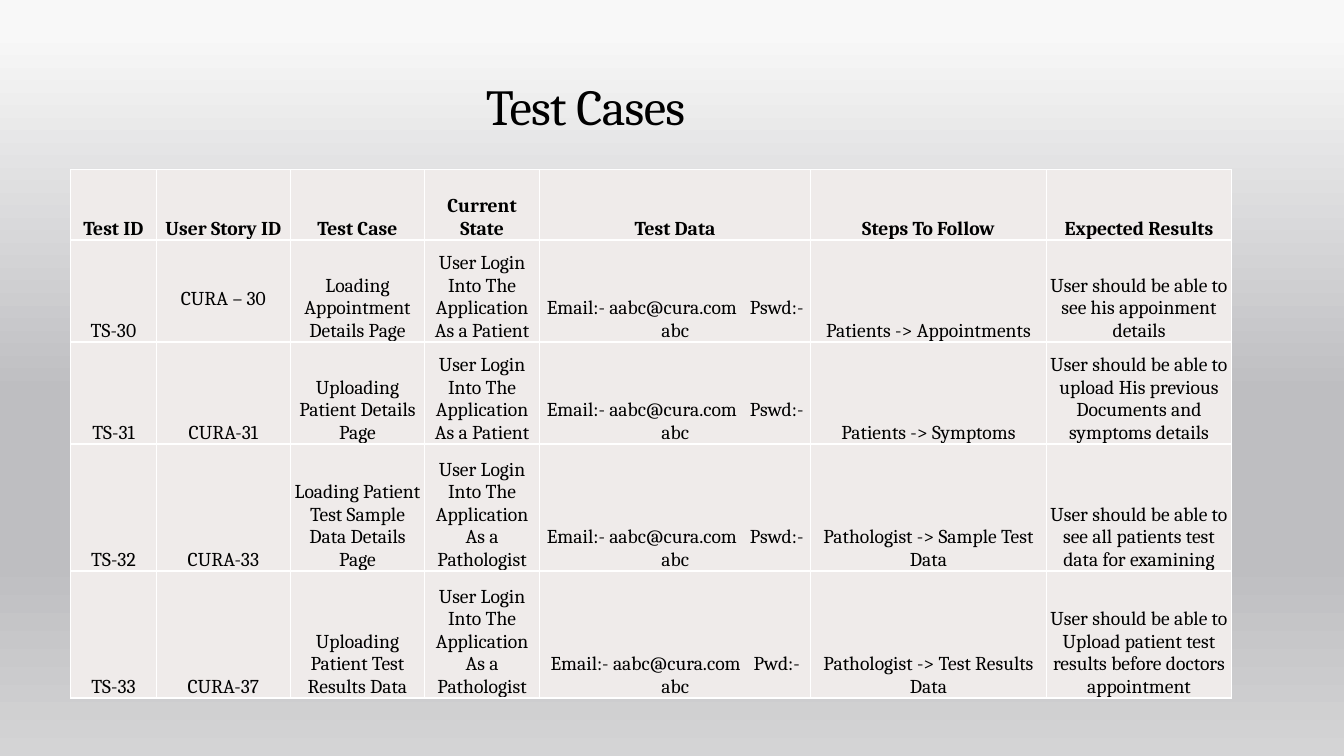
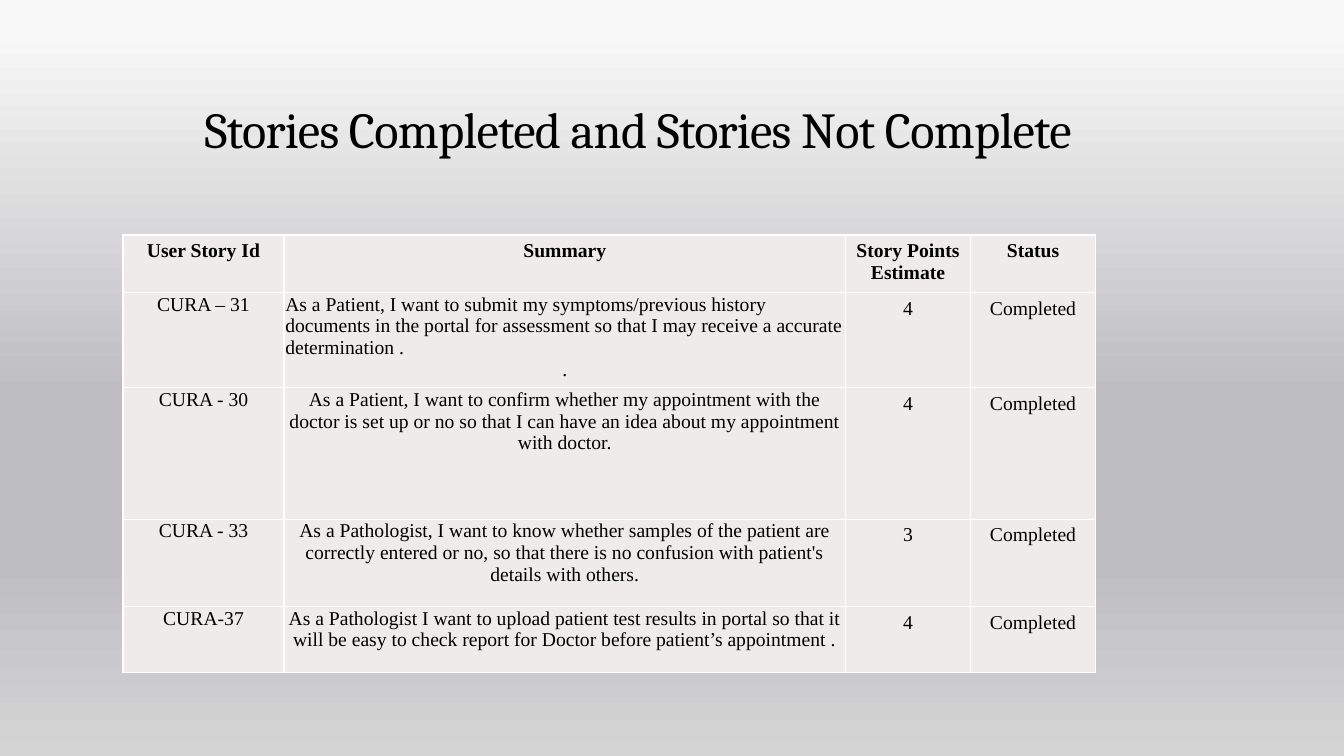
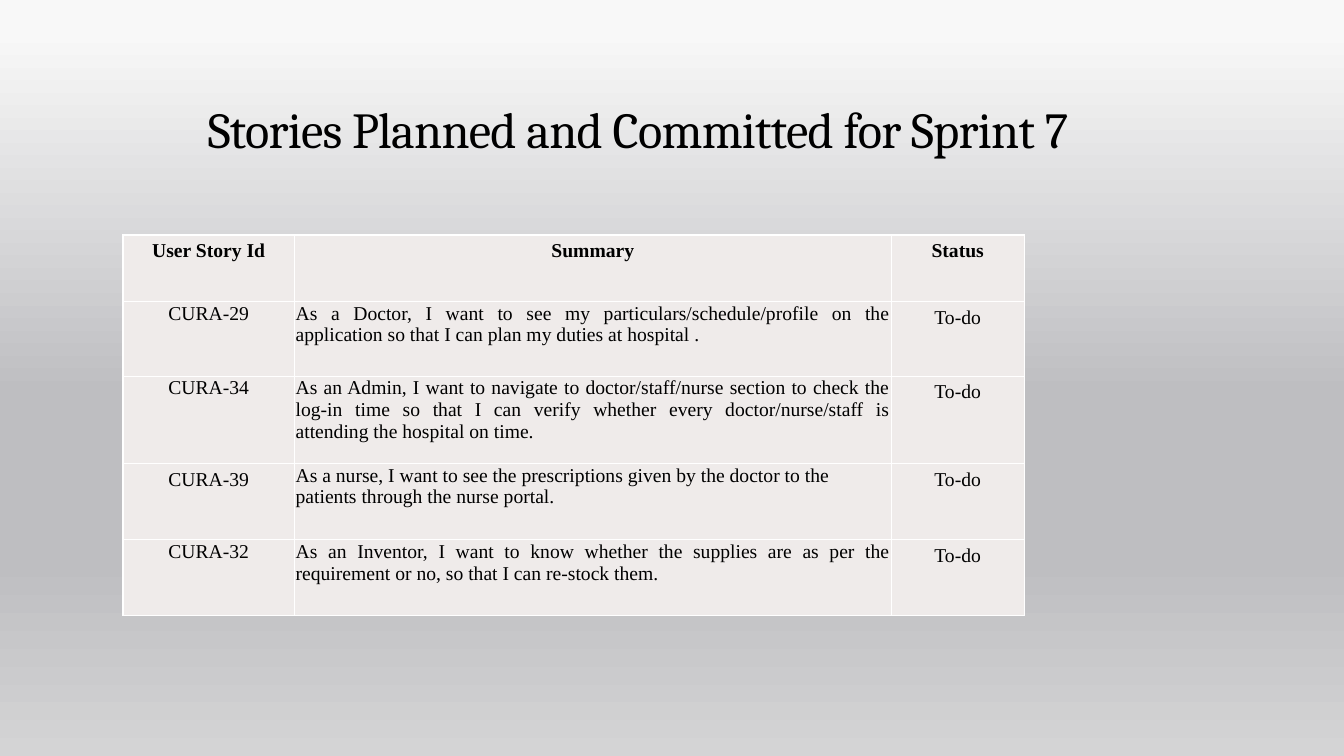
from lxml.etree import SubElement
from pptx import Presentation
from pptx.dml.color import RGBColor
from pptx.enum.text import MSO_ANCHOR as Anchor, PP_ALIGN as Align
from pptx.oxml.ns import qn
from pptx.util import Cm, Pt

# Shared look
BLACK = RGBColor(0x00, 0x00, 0x00)
WHITE = RGBColor(0xFF, 0xFF, 0xFF)
CELL_FILL = RGBColor(0xEF, 0xEB, 0xEA)
BACKGROUND_STOPS = [
    (4, RGBColor(0xF8, 0xF8, 0xF8)),
    (52, RGBColor(0xBE, 0xBE, 0xC1)),
    (74, RGBColor(0xBE, 0xBE, 0xC1)),
    (100, RGBColor(0xD4, 0xD4, 0xD5)),
]
SERIF, TIMES = "Cambria", "Times New Roman"
TITLE_SIZE, TABLE_SIZE = Pt(36), Pt(14)
TIGHT = (0.03, 0.03, 0.03, 0)  # left, top, right, bottom in cm
PADDED = (0.25, 0.13, 0.25, 0.13)
GAP = "|"  # marks a wide gap inside a cell
GAP_SPACING = "600"

# Content; "cells" holds exceptions by (row, column), lengths are in cm
PATIENT = "User Login Into The Application As a Patient"
PATHOLOGIST = "User Login Into The Application As a Pathologist"
LOGIN = "Email:- aabc@cura.com|Pswd:- abc"
STORY_TITLE_BOX = (2.26, 1.73, 27.64, 2.41)
STORY_TABLE_AT = (3.1, 5.92)

SLIDES = [
    {
        "title": "Test Cases",
        "title_box": (0.66, 1.12, 28.19, 2.44),
        "table_at": (1.78, 4.27),
        "columns": [2.16, 3.38, 3.38, 2.9, 6.83, 5.94, 4.67],
        "heights": [1.78, 2.57, 2.57, 3.2, 3.2],
        "font": SERIF,
        "anchor": Anchor.BOTTOM,
        "padded_columns": [],
        "padded_header": False,
        "cells": {(1, 1): {"anchor": Anchor.TOP, "margins": (0.03, 1.2, 0.03, 0)}},
        "rows": [
            ["Test ID", "User Story ID", "Test Case", "Current State",
             "Test Data", "Steps To Follow", "Expected Results"],
            ["TS-30", "CURA – 30", "Loading Appointment Details Page", PATIENT,
             LOGIN, "Patients -> Appointments",
             "User should be able to see his appoinment details"],
            ["TS-31", "CURA-31", "Uploading Patient Details Page", PATIENT,
             LOGIN, "Patients -> Symptoms",
             "User should be able to upload His previous Documents and symptoms details"],
            ["TS-32", "CURA-33", "Loading Patient Test Sample Data Details Page",
             PATHOLOGIST, LOGIN, "Pathologist -> Sample Test Data",
             "User should be able to see all patients test data for examining"],
            ["TS-33", "CURA-37", "Uploading Patient Test Results Data",
             PATHOLOGIST, "Email:- aabc@cura.com|Pwd:- abc",
             "Pathologist -> Test Results Data",
             "User should be able to Upload patient test results before doctors appointment"],
        ],
    },
    {
        "title": "Stories Completed and Stories Not Complete",
        "title_box": STORY_TITLE_BOX,
        "table_at": STORY_TABLE_AT,
        "columns": [4.06, 14.15, 3.15, 3.15],
        "heights": [1.45, 2.2, 3.31, 2.2, 1.66],
        "font": TIMES,
        "anchor": Anchor.TOP,
        "padded_columns": [2, 3],
        "padded_header": True,
        "cells": {(1, 1): {"aligns": [Align.LEFT, Align.CENTER]}},
        "rows": [
            ["User Story Id", "Summary", "Story Points\nEstimate", "Status"],
            ["CURA – 31",
             "As a Patient, I want to submit my symptoms/previous history documents in "
             "the portal for assessment so that I may receive a accurate determination .\n.",
             "4", "Completed"],
            ["CURA - 30",
             "As a Patient, I want to confirm whether my appointment with the doctor is "
             "set up or no so that I can have an idea about my appointment with doctor.",
             "4", "Completed"],
            ["CURA - 33",
             "As a Pathologist, I want to know whether samples of the patient are correctly "
             "entered or no, so that there is no confusion with patient's details with others.",
             "3", "Completed"],
            ["CURA-37",
             "As a Pathologist I want to upload patient test results in portal so that it "
             "will be easy to check report for Doctor before patient’s appointment .",
             "4", "Completed"],
        ],
    },
    {
        "title": "Stories Planned and Committed for Sprint 7",
        "title_box": STORY_TITLE_BOX,
        "table_at": STORY_TABLE_AT,
        "columns": [4.32, 15.04, 3.35],
        "heights": [1.68, 1.88, 2.2, 1.92, 1.9],
        "font": TIMES,
        "anchor": Anchor.TOP,
        "padded_columns": [2],
        "padded_header": True,
        "cells": {
            (1, 1): {"aligns": [Align.JUSTIFY]},
            (2, 1): {"aligns": [Align.JUSTIFY]},
            (3, 0): {"margins": PADDED},
            (3, 1): {"aligns": [Align.LEFT]},
            (4, 1): {"aligns": [Align.JUSTIFY]},
        },
        "rows": [
            ["User Story Id", "Summary", "Status"],
            ["CURA-29",
             "As a Doctor, I want to see my particulars/schedule/profile on the "
             "application so that I can plan my duties at hospital .", "To-do"],
            ["CURA-34",
             "As an Admin, I want to navigate to doctor/staff/nurse section to check the "
             "log-in time so that I can verify whether every doctor/nurse/staff is "
             "attending the hospital on time.", "To-do"],
            ["CURA-39",
             "As a nurse, I want to see the prescriptions given by the doctor to the "
             "patients through the nurse portal.", "To-do"],
            ["CURA-32",
             "As an Inventor, I want to know whether the supplies are as per the "
             "requirement or no, so that I can re-stock them.", "To-do"],
        ],
    },
]


def set_background(master):
    """Give every slide the same vertical grey gradient."""
    fill = master.background.fill
    fill.gradient()
    fill.gradient_angle = 270
    stops = master.element.find(".//" + qn("p:bgPr")).find(".//" + qn("a:gsLst"))
    for stop in list(stops):
        stops.remove(stop)
    for percent, color in BACKGROUND_STOPS:
        stop = SubElement(stops, qn("a:gs"), pos=str(percent * 1000))
        SubElement(stop, qn("a:srgbClr"), val=str(color))


def set_font(paragraph, name, size, bold=False):
    font = paragraph.font
    font.name, font.size, font.bold = name, size, bold
    font.color.rgb = BLACK


def add_title(slide, text, box):
    frame = slide.shapes.add_textbox(*map(Cm, box)).text_frame
    frame.word_wrap = True
    frame.vertical_anchor = Anchor.BOTTOM
    paragraph = frame.paragraphs[0]
    paragraph.alignment = Align.CENTER
    paragraph.line_spacing = 0.9
    run = paragraph.add_run()
    run.text = text
    run.font._element.set("spc", "-50")
    set_font(paragraph, SERIF, TITLE_SIZE)


def set_borders(cell):
    properties = cell._tc.get_or_add_tcPr()
    for side in ("L", "R", "T", "B"):
        line = SubElement(properties, qn("a:ln" + side), w=str(Pt(1)))
        fill = SubElement(line, qn("a:solidFill"))
        SubElement(fill, qn("a:srgbClr"), val=str(WHITE))


def add_runs(paragraph, text):
    """Write the text, widening one space wherever a gap is marked."""
    for index, part in enumerate(text.split(GAP)):
        if index:
            space = paragraph.add_run()
            space.text = " "
            space.font._element.set("spc", GAP_SPACING)
        paragraph.add_run().text = part


def fill_cell(cell, text, font, bold, anchor, margins, aligns=(Align.CENTER,)):
    set_borders(cell)
    cell.fill.solid()
    cell.fill.fore_color.rgb = CELL_FILL
    cell.vertical_anchor = anchor
    (cell.margin_left, cell.margin_top,
     cell.margin_right, cell.margin_bottom) = map(Cm, margins)
    frame = cell.text_frame
    for index, line in enumerate(text.split("\n")):
        paragraph = frame.add_paragraph() if index else frame.paragraphs[0]
        paragraph.alignment = aligns[min(index, len(aligns) - 1)]
        add_runs(paragraph, line)
        set_font(paragraph, font, TABLE_SIZE, bold)


def add_table(slide, content):
    columns, heights = content["columns"], content["heights"]
    left, top = content["table_at"]
    table = slide.shapes.add_table(
        len(heights), len(columns),
        Cm(left), Cm(top), Cm(sum(columns)), Cm(sum(heights))).table
    table.first_row = table.horz_banding = False
    for column, width in zip(table.columns, columns):
        column.width = Cm(width)
    for row, height in zip(table.rows, heights):
        row.height = Cm(height)
    for r, texts in enumerate(content["rows"]):
        for c, text in enumerate(texts):
            header = r == 0
            padded = content["padded_header"] if header else c in content["padded_columns"]
            style = {"anchor": content["anchor"], "margins": PADDED if padded else TIGHT}
            style.update(content["cells"].get((r, c), {}))
            fill_cell(table.cell(r, c), text, content["font"], header, **style)


def main():
    presentation = Presentation()
    presentation.slide_width, presentation.slide_height = Cm(33.87), Cm(19.05)
    set_background(presentation.slide_master)
    for content in SLIDES:
        slide = presentation.slides.add_slide(presentation.slide_layouts[6])
        add_title(slide, content["title"], content["title_box"])
        add_table(slide, content)
    presentation.save("out.pptx")


if __name__ == "__main__":
    main()
